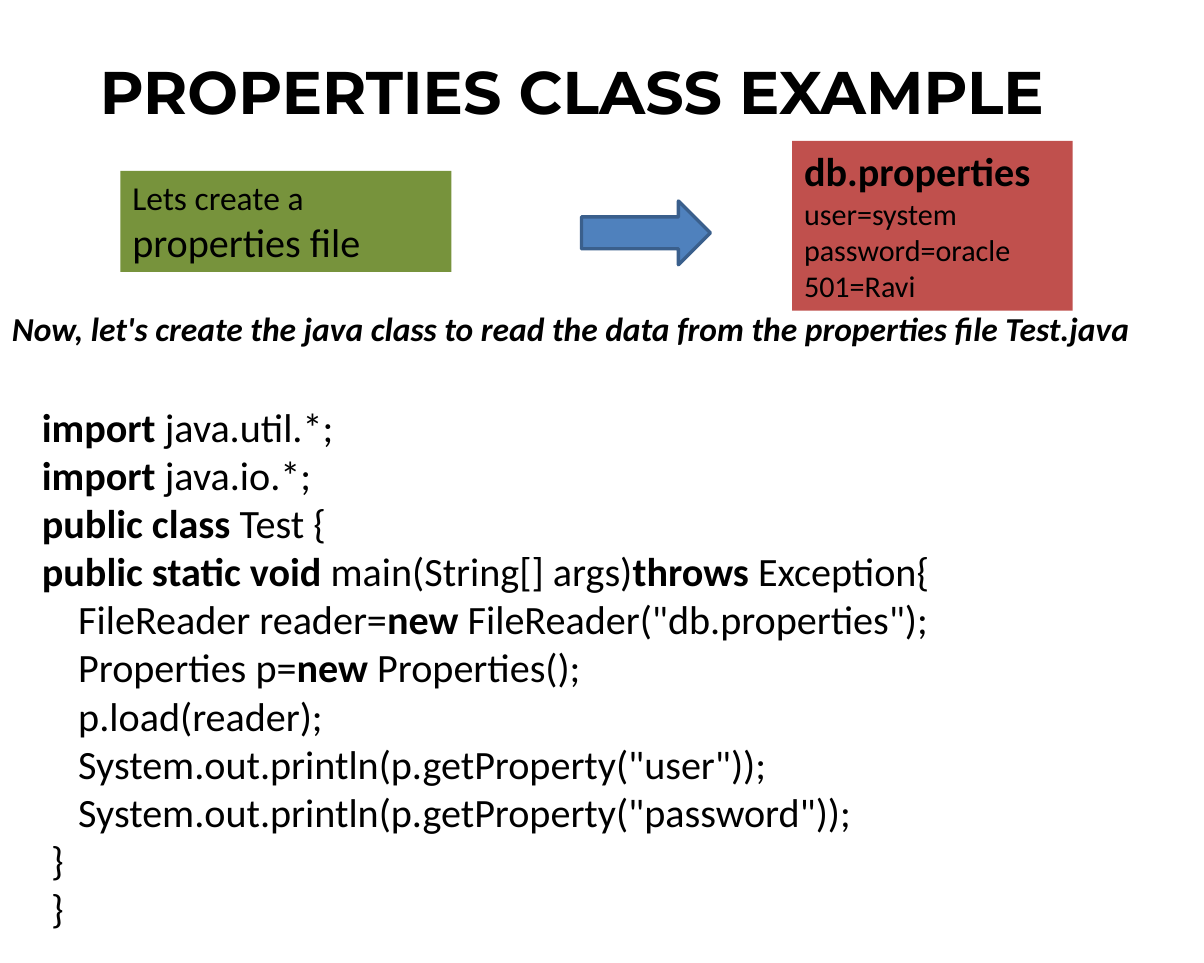
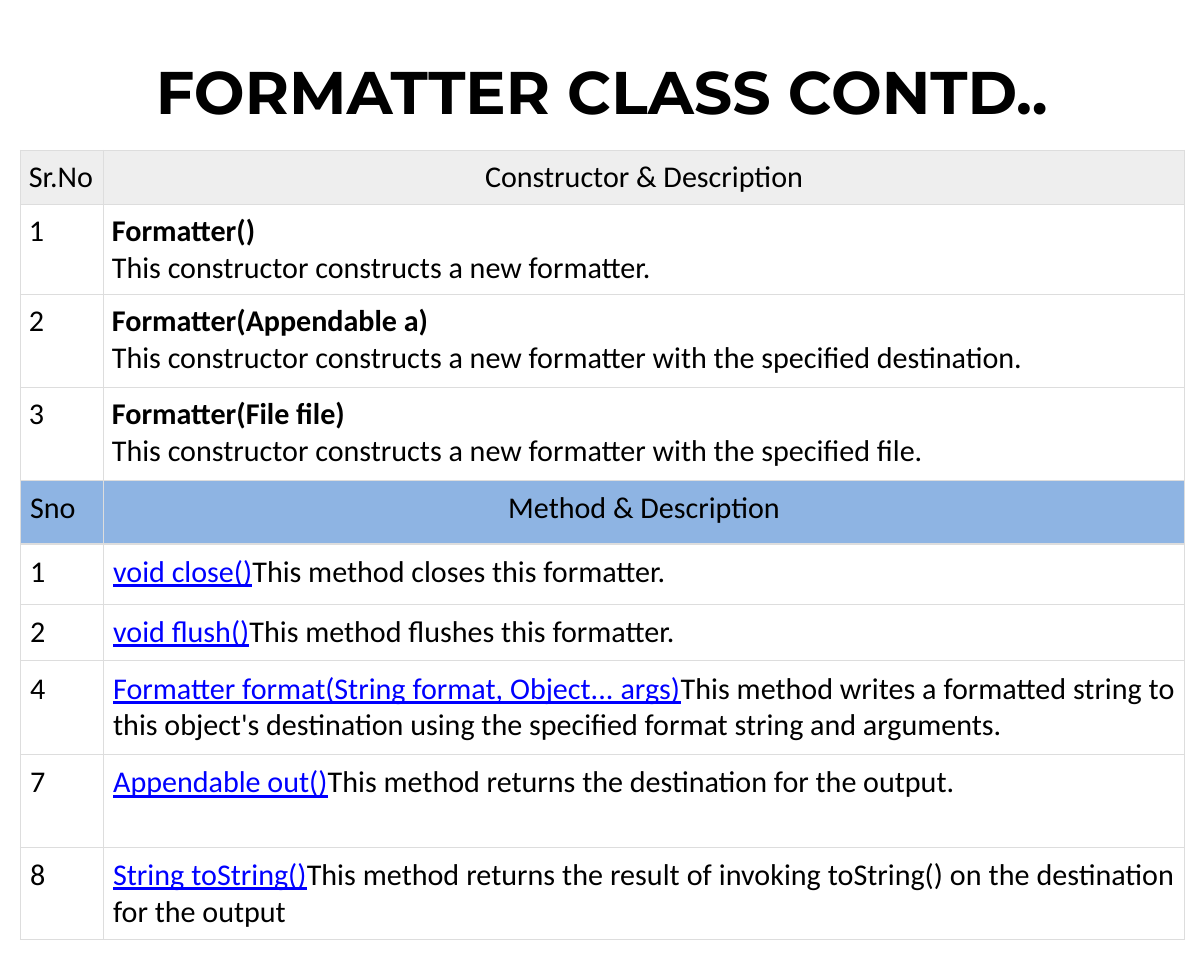
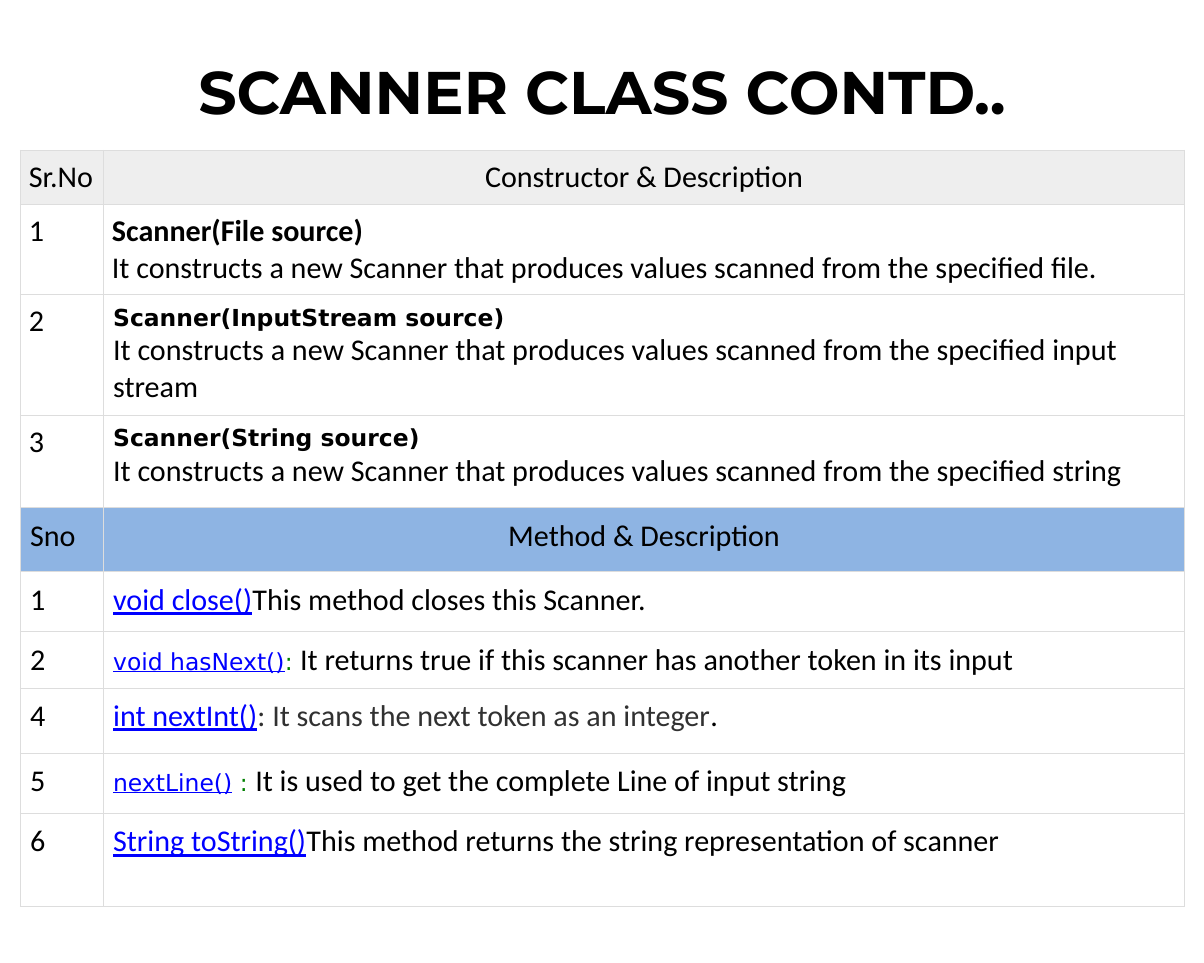
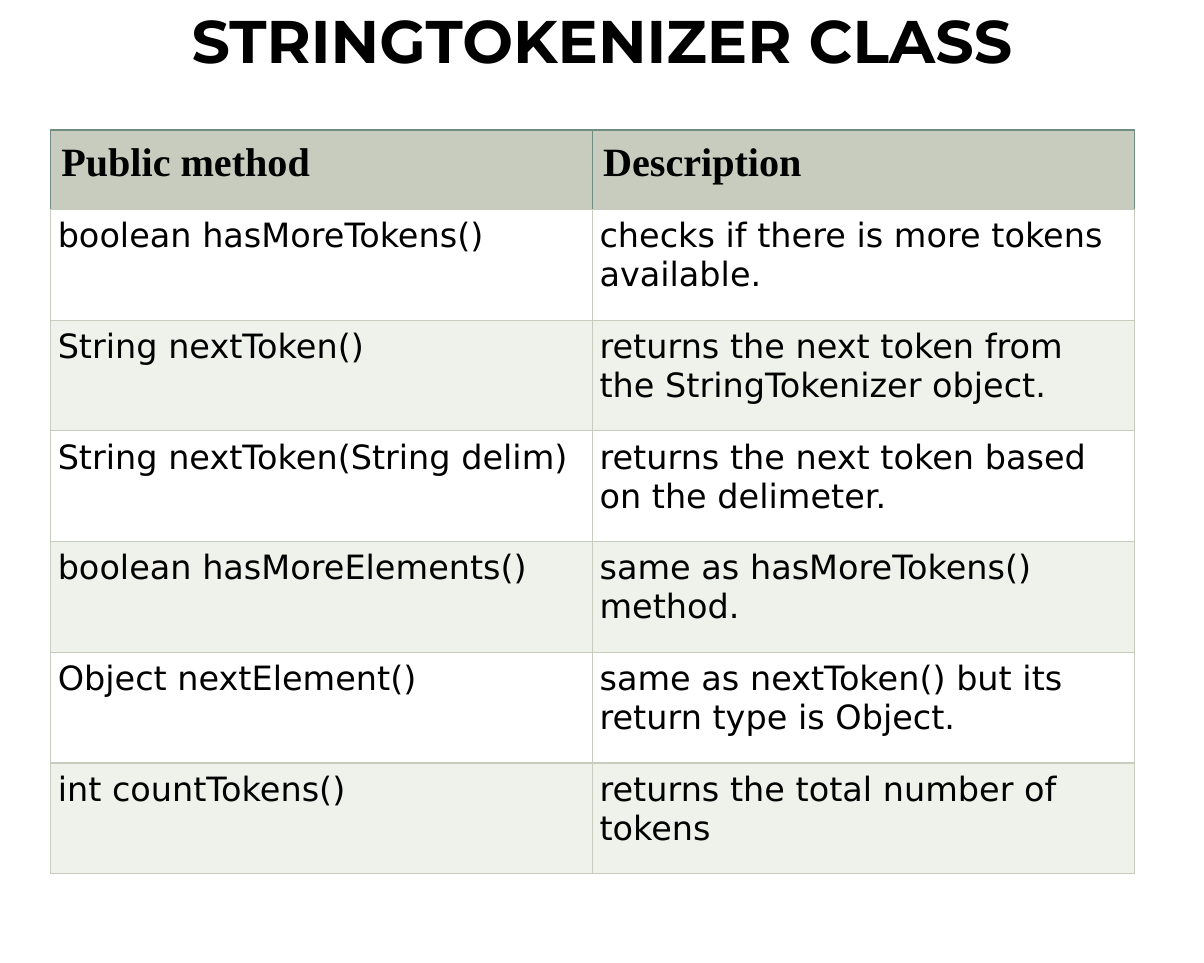
from dataclasses import dataclass, replace

import pptx
import pptx.dml.color
import pptx.enum.shapes
import pptx.enum.text
import pptx.oxml
import pptx.oxml.ns
import pptx.util
from pptx.util import Inches

ALIGN = pptx.enum.text.PP_ALIGN
ANCHOR = pptx.enum.text.MSO_ANCHOR
SHAPE = pptx.enum.shapes.MSO_SHAPE


@dataclass(frozen=True)
class Style:
    size: int = 18
    font: str = "Calibri"
    color: str = "000000"
    bold: bool = False
    italic: bool = False
    underline: bool = False


BODY = Style()
BOLD = replace(BODY, bold=True)
LINK = replace(BODY, color="0000FF", underline=True)
GREY = replace(BODY, color="313131")
MONO_BOLD = Style(14, "DejaVu Sans", bold=True)
MONO_LINK = Style(14, "DejaVu Sans", "0000FF", underline=True)
MONO_GREEN = Style(14, "DejaVu Sans", "008000")
TITLE = Style(36, "Montserrat", bold=True)
LARGE = Style(24)
LARGE_BOLD = Style(24, bold=True)
MEDIUM = Style(20)
LEAD = Style(20, bold=True, italic=True)
TOKEN_HEADER = Style(24, "Times New Roman", bold=True)
TOKEN_BODY = Style(20, "DejaVu Sans")

GRID = "DDDDDD"
CONSTRUCTOR_BAND = "EEEEEE"
METHOD_BAND = "8EB4E3"
TOKEN_BAND = "C7CCBE"
TOKEN_EDGE = "708D81"
TOKEN_FILLS = ("FFFFFF", "EFF1EB")


def rgb(color):
    return pptx.dml.color.RGBColor.from_string(color)


def write_text(text_frame, paragraphs, align=ALIGN.LEFT):
    for index, runs in enumerate(paragraphs):
        paragraph = text_frame.paragraphs[0] if index == 0 else text_frame.add_paragraph()
        paragraph.alignment = align
        for text, style in runs:
            run = paragraph.add_run()
            run.text = text
            run.font.size = pptx.util.Pt(style.size)
            run.font.name = style.font
            run.font.color.rgb = rgb(style.color)
            run.font.bold = style.bold
            run.font.italic = style.italic
            run.font.underline = style.underline


def add_text(slide, box, paragraphs, align=ALIGN.LEFT, anchor=ANCHOR.TOP):
    shape = slide.shapes.add_textbox(*map(Inches, box))
    shape.text_frame.word_wrap = True
    shape.text_frame.vertical_anchor = anchor
    write_text(shape.text_frame, paragraphs, align)


def add_title(slide, text, left=0.75, top=0.42, width=8.5):
    add_text(slide, (left, top, width, 0.66), [[(text, TITLE)]], ALIGN.CENTER, ANCHOR.MIDDLE)


def add_filled_shape(slide, kind, box, fill, line=None, paragraphs=()):
    shape = slide.shapes.add_shape(kind, *map(Inches, box))
    shape.shadow.inherit = False
    shape.fill.solid()
    shape.fill.fore_color.rgb = rgb(fill)
    if line:
        shape.line.color.rgb = rgb(line)
        shape.line.width = pptx.util.Pt(2)
    else:
        shape.line.fill.background()
    shape.text_frame.word_wrap = True
    shape.text_frame.vertical_anchor = ANCHOR.TOP
    write_text(shape.text_frame, paragraphs)


def add_table(slide, left, top, widths, heights):
    frame = slide.shapes.add_table(
        len(heights), len(widths), Inches(left), Inches(top),
        Inches(sum(widths)), Inches(sum(heights)))
    table = frame.table
    table.first_row = False
    table.horz_banding = False
    for column, width in zip(table.columns, widths):
        column.width = Inches(width)
    for row, height in zip(table.rows, heights):
        row.height = Inches(height)
    return table


def set_borders(cell, edge, bottom):
    properties = cell._tc.get_or_add_tcPr()
    for side, color in (("L", edge), ("R", edge), ("T", edge), ("B", bottom)):
        properties.append(pptx.oxml.parse_xml(
            f'<a:ln{side} {pptx.oxml.ns.nsdecls("a")} w="9525"><a:solidFill>'
            f'<a:srgbClr val="{color}"/></a:solidFill></a:ln{side}>'))


def fill_cell(cell, paragraphs, inset, fill=None, align=ALIGN.LEFT, edge=GRID, bottom=None):
    set_borders(cell, edge, bottom or edge)
    if fill:
        cell.fill.solid()
        cell.fill.fore_color.rgb = rgb(fill)
    else:
        cell.fill.background()
    cell.margin_left = cell.margin_right = Inches(inset)
    cell.margin_top = cell.margin_bottom = Inches(inset)
    write_text(cell.text_frame, paragraphs, align)


def description_align(paragraphs):
    first_style = paragraphs[0][0][1]
    return ALIGN.JUSTIFY if first_style.font == BODY.font else ALIGN.LEFT


def add_reference_table(slide, heights, constructors, methods):
    table = add_table(slide, 0.17, 1.25, (0.69, 8.98), heights)
    sections = (
        ("Sr.No", "Constructor & Description", CONSTRUCTOR_BAND, 0.07, constructors),
        ("Sno", "Method & Description", METHOD_BAND, 0.08, methods),
    )
    row = 0
    for number_label, label, band, inset, entries in sections:
        fill_cell(table.cell(row, 0), [[(number_label, BODY)]], inset, band)
        fill_cell(table.cell(row, 1), [[(label, BODY)]], inset, band, ALIGN.CENTER)
        for row, (number, paragraphs) in enumerate(entries, row + 1):
            align = description_align(paragraphs)
            fill_cell(table.cell(row, 0), [[(str(number), BODY)]], inset)
            fill_cell(table.cell(row, 1), paragraphs,
                      inset if align == ALIGN.JUSTIFY else 0.08, align=align)
        row += 1


def constructor(number, signature, description, style=BOLD):
    return number, [[(signature, style)], [(description, BODY)]]


def method(number, signature, description):
    return number, [[(signature, LINK), (description, BODY)]]


def build_properties(slide):
    add_title(slide, "PROPERTIES CLASS EXAMPLE", left=0.25, width=9)
    code = [
        [("import ", LARGE_BOLD), ("java.util.*;", LARGE)],
        [("import", LARGE_BOLD), (" java.io.*;", LARGE)],
        [("public class", LARGE_BOLD), (" Test {", LARGE)],
        [("public static void", LARGE_BOLD), (" main(String[] args)", LARGE),
         ("throws", LARGE_BOLD), (" Exception{", LARGE)],
        [("    FileReader reader=", LARGE), ("new ", LARGE_BOLD),
         ('FileReader("db.properties");', LARGE)],
        [("    Properties p=", LARGE), ("new", LARGE_BOLD), (" Properties();", LARGE)],
        [("    p.load(reader);", LARGE)],
        [('    System.out.println(p.getProperty("user"));', LARGE)],
        [('    System.out.println(p.getProperty("password"));', LARGE)],
        [(" }", LARGE)],
        [(" }", LARGE)],
    ]
    add_text(slide, (0.25, 3.29, 9.75, 4.58), code)
    add_filled_shape(slide, SHAPE.RECTANGLE, (6.58, 1.17, 2.33, 1.41), "C0504D", paragraphs=[
        [("db.properties", LARGE_BOLD)],
        [("user=system", BODY)],
        [("password=oracle", BODY)],
        [("501=Ravi", BODY)],
    ])
    add_text(slide, (0, 2.51, 9.75, 0.44), [[(
        "Now, let's create the java class to read the data from the properties file Test.java",
        LEAD)]])
    add_filled_shape(slide, SHAPE.RECTANGLE, (1, 1.42, 2.75, 0.84), "77933C", paragraphs=[
        [("Lets create a ", MEDIUM), ("properties file", LARGE)]])
    add_filled_shape(slide, SHAPE.RIGHT_ARROW, (4.83, 1.67, 1.07, 0.53), "4F81BD", "3A5F8C")


def build_formatter(slide):
    add_title(slide, "FORMATTER CLASS CONTD..")
    opening = "This constructor constructs a new formatter"
    add_reference_table(
        slide, (0.45, 0.75, 0.77, 0.77, 0.53, 0.5, 0.47, 0.78, 0.77, 0.77),
        [
            constructor(1, "Formatter()", f"{opening}."),
            constructor(2, "Formatter(Appendable a)", f"{opening} with the specified destination."),
            constructor(3, "Formatter(File file)", f"{opening} with the specified file."),
        ],
        [
            method(1, "void close()", "This method closes this formatter."),
            method(2, "void flush()", "This method flushes this formatter."),
            method(4, "Formatter format(String format, Object... args)",
                   "This method writes a formatted string to this object's destination "
                   "using the specified format string and arguments."),
            method(7, "Appendable out()", "This method returns the destination for the output."),
            method(8, "String toString()",
                   "This method returns the result of invoking toString() on the destination "
                   "for the output"),
        ])


def build_scanner(slide):
    add_title(slide, "SCANNER CLASS CONTD..")
    opening = "It constructs a new Scanner that produces values scanned from the specified"
    add_reference_table(
        slide, (0.45, 0.75, 1, 0.77, 0.53, 0.5, 0.47, 0.54, 0.5, 0.77),
        [
            constructor(1, "Scanner(File source)", f"{opening} file."),
            constructor(2, "Scanner(InputStream source)", f"{opening} input stream", MONO_BOLD),
            constructor(3, "Scanner(String source)", f"{opening} string", MONO_BOLD),
        ],
        [
            method(1, "void close()", "This method closes this Scanner."),
            (2, [[("void hasNext()", MONO_LINK), (": ", MONO_GREEN),
                  ("It returns true if this scanner has another token in its input", BODY)]]),
            (4, [[("int nextInt()", LINK),
                  (": It scans the next token as an integer", GREY), (".", BODY)]]),
            (5, [[("nextLine()", MONO_LINK), (" : ", MONO_GREEN),
                  ("It is used to get the complete Line of input string", BODY)]]),
            method(6, "String toString()",
                   "This method returns the string representation of scanner"),
        ])


def build_tokenizer(slide):
    add_title(slide, "STRINGTOKENIZER CLASS", top=0)
    methods = (
        ("boolean hasMoreTokens()", "checks if there is more tokens available."),
        ("String nextToken()", "returns the next token from the StringTokenizer object."),
        ("String nextToken(String delim)", "returns the next token based on the delimeter."),
        ("boolean hasMoreElements()", "same as hasMoreTokens() method."),
        ("Object nextElement()", "same as nextToken() but its return type is Object."),
        ("int countTokens()", "returns the total number of tokens"),
    )
    table = add_table(slide, 0.42, 1.08, (4.5, 4.5), [0.66] + [0.92] * len(methods))
    for column, label in enumerate(("Public method", "Description")):
        fill_cell(table.cell(0, column), [[(label, TOKEN_HEADER)]], 0.09, TOKEN_BAND,
                  edge=TOKEN_EDGE, bottom=TOKEN_BAND)
    for row, texts in enumerate(methods):
        for column, text in enumerate(texts):
            fill_cell(table.cell(row + 1, column), [[(text, TOKEN_BODY)]], 0.06,
                      TOKEN_FILLS[row % 2], edge=TOKEN_BAND)


def main():
    presentation = pptx.Presentation()
    presentation.slide_width = Inches(10)
    presentation.slide_height = Inches(8)
    for build in (build_properties, build_formatter, build_scanner, build_tokenizer):
        build(presentation.slides.add_slide(presentation.slide_layouts[6]))
    presentation.save("out.pptx")


if __name__ == "__main__":
    main()
